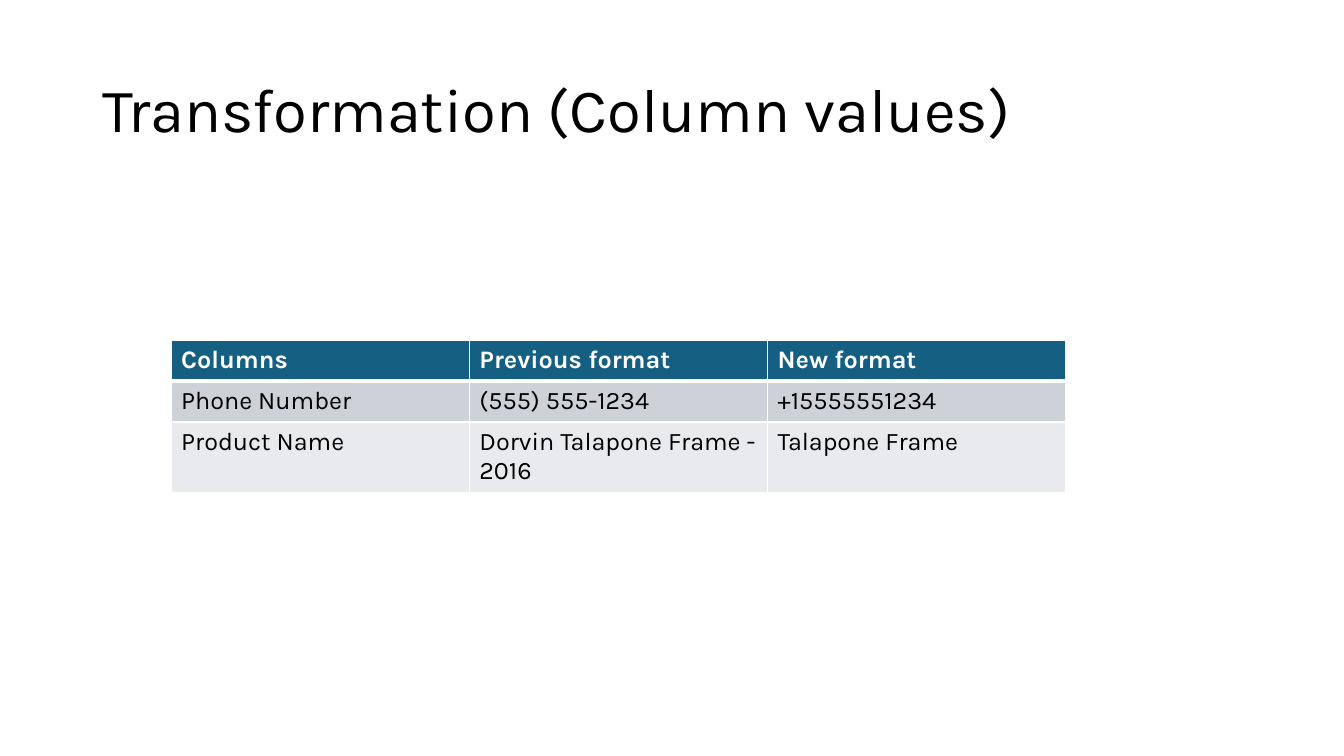
from dataclasses import dataclass

from lxml.etree import SubElement as Sub
from pptx import Presentation
from pptx.dml.color import RGBColor as Rgb
from pptx.enum.text import MSO_ANCHOR as Anchor
from pptx.oxml.ns import qn
from pptx.slide import Slide
from pptx.table import _Cell as Cell
from pptx.text.text import Font
from pptx.util import Emu, Pt

FACE = "Karla"
BLACK = Rgb(0x00, 0x00, 0x00)
WHITE = Rgb(0xFF, 0xFF, 0xFF)
TEAL = Rgb(0x15, 0x60, 0x82)
GREY = Rgb(0xCC, 0xD2, 0xD8)
PALE = Rgb(0xE8, 0xEA, 0xED)
COL_W = 284
ROW_H = 39


@dataclass(frozen=True)
class Row:
    texts: tuple[str, ...]
    fill: Rgb
    ink: Rgb = BLACK
    bold: bool = False
    top: int = 1
    base: int = 1


ROWS = (
    Row(("Columns", "Previous format", "New format"), TEAL, WHITE, True, base=3),
    Row(("Phone Number", "(555) 555-1234", "+15555551234"), GREY, top=3),
    Row(("Product Name", "Dorvin Talapone Frame - 2016", "Talapone Frame"), PALE),
)


def px(size: int) -> Emu:
    return Emu(size * 9525)


def style(font: Font, size: int, ink: Rgb, bold: bool = False) -> None:
    font.name = FACE
    font.size = Pt(size)
    font.bold = bold
    font.color.rgb = ink


def add_title(slide: Slide, text: str) -> None:
    box = slide.shapes.add_textbox(px(88), px(38), px(1104), px(139))
    frame = box.text_frame
    frame.word_wrap = True
    frame.vertical_anchor = Anchor.MIDDLE
    frame.text = text
    para = frame.paragraphs[0]
    para.line_spacing = 0.9
    style(para.runs[0].font, 44, BLACK)


def add_edges(cell: Cell, top: int, base: int) -> None:
    props = cell._tc.get_or_add_tcPr()
    for tag, width in (("lnL", 1), ("lnR", 1), ("lnT", top), ("lnB", base)):
        line = Sub(props, qn(f"a:{tag}"), w=str(Pt(width)))
        Sub(Sub(line, qn("a:solidFill")), qn("a:srgbClr"), val=str(WHITE))


def fill_cell(cell: Cell, text: str, row: Row) -> None:
    add_edges(cell, row.top, row.base)
    cell.fill.solid()
    cell.fill.fore_color.rgb = row.fill
    cell.text_frame.text = text
    style(cell.text_frame.paragraphs[0].runs[0].font, 18, row.ink, row.bold)


def add_grid(slide: Slide, rows: tuple[Row, ...]) -> None:
    cols = len(rows[0].texts)
    grid = slide.shapes.add_table(
        len(rows), cols, px(163), px(324), px(COL_W * cols), px(ROW_H * len(rows))
    ).table
    for line, row in zip(grid.rows, rows):
        for cell, text in zip(line.cells, row.texts):
            fill_cell(cell, text, row)


def main() -> None:
    deck = Presentation()
    deck.slide_width = px(1280)
    deck.slide_height = px(720)
    slide = deck.slides.add_slide(deck.slide_layouts[6])
    add_title(slide, "Transformation (Column values)")
    add_grid(slide, ROWS)
    deck.save("out.pptx")


if __name__ == "__main__":
    main()
